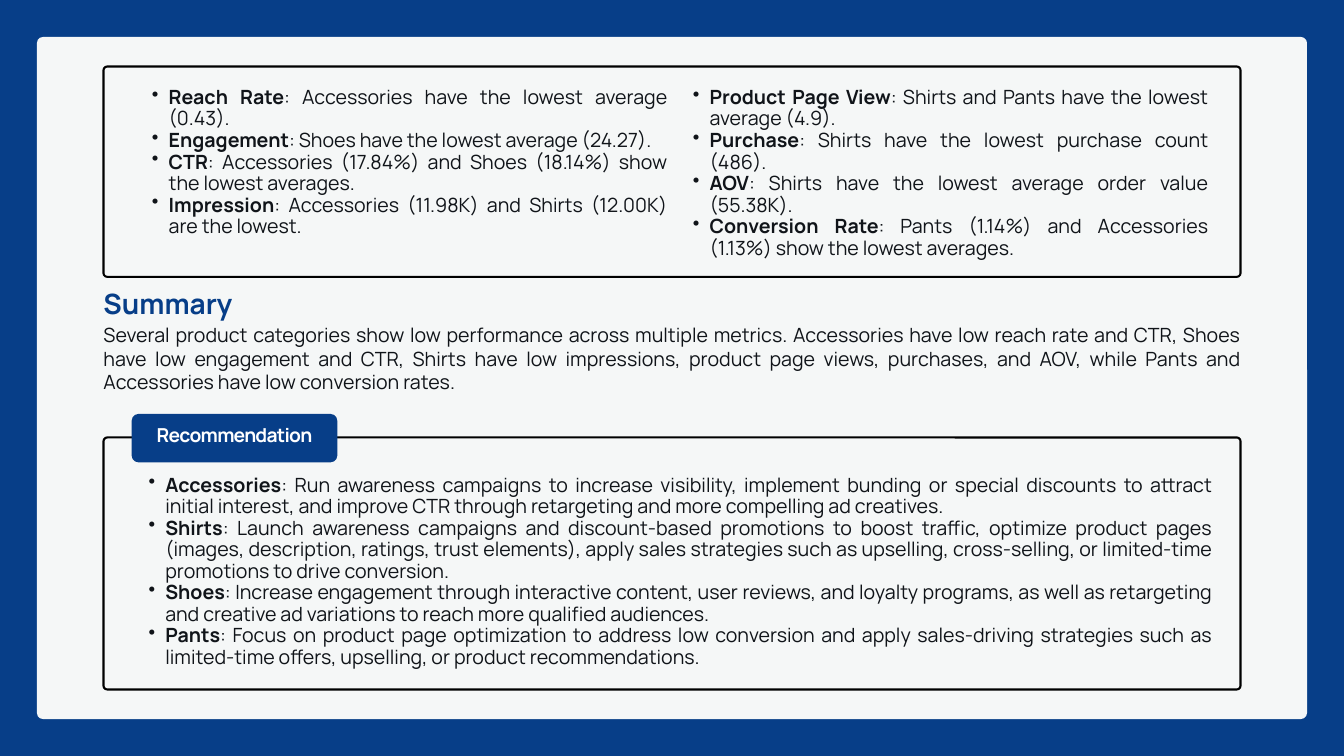
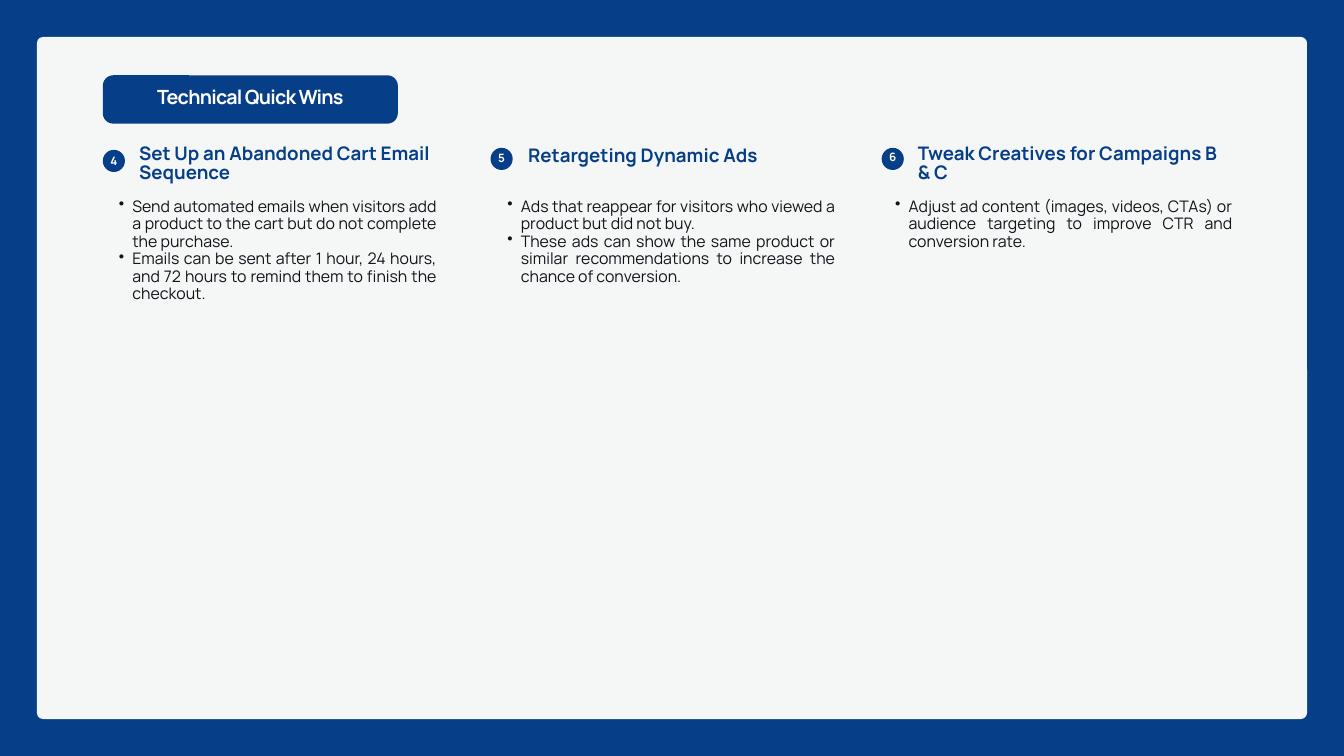
from dataclasses import dataclass

from lxml.etree import SubElement as Sub
from pptx import Presentation
from pptx.dml.color import RGBColor as Rgb
from pptx.enum.shapes import MSO_SHAPE as Kind
from pptx.enum.text import PP_ALIGN as Align
from pptx.oxml.ns import qn
from pptx.util import Emu, Inches, Pt

WIDE, HIGH = Inches(20), Inches(11.25)
COLS = 80
CELL = WIDE / COLS
FONT = "Manrope"
HUES = {"blue": "073E88", "pale": "F5F7F7", "ink": "101419",
        "white": "FFFFFF", "black": "000000"}


@dataclass(frozen=True)
class Box:
    x: float
    y: float
    w: float
    h: float

    def size(self) -> list[Emu]:
        return [grid(n) for n in (self.x, self.y, self.w, self.h)]


@dataclass(frozen=True)
class Tip:
    mark: str
    title: str
    items: tuple[str, ...]
    dot: tuple[float, float]
    drop: float
    head: Box
    body: Box


PANEL = Box(2.2, 2.2, 75.6, 40.6)
LEFT, SPAN = 6.16, 67.68

LOWS = (
    ("Reach Rate: Accessories have the lowest average (0.43).",
     "Engagement: Shoes have the lowest average (24.27).",
     "CTR: Accessories (17.84%) and Shoes (18.14%) show the lowest averages.",
     "Impression: Accessories (11.98K) and Shirts (12.00K) are the lowest."),
    ("Product Page View: Shirts and Pants have the lowest average (4.9).",
     "Purchase: Shirts have the lowest purchase count (486).",
     "AOV: Shirts have the lowest average order value (55.38K).",
     "Conversion Rate: Pants (1.14%) and Accessories (1.13%) show the lowest averages."),
)
SUMMARY = (
    "Several product categories show low performance across multiple metrics. "
    "Accessories have low reach rate and CTR, Shoes have low engagement and CTR, "
    "Shirts have low impressions, product page views, purchases, and AOV, "
    "while Pants and Accessories have low conversion rates."
)
ADVICE = (
    "Accessories: Run awareness campaigns to increase visibility, implement bunding or "
    "special discounts to attract initial interest, and improve CTR through retargeting "
    "and more compelling ad creatives.",
    "Shirts: Launch awareness campaigns and discount-based promotions to boost traffic, "
    "optimize product pages (images, description, ratings, trust elements), apply sales "
    "strategies such as upselling, cross-selling, or limited-time promotions to drive "
    "conversion.",
    "Shoes: Increase engagement through interactive content, user reviews, and loyalty "
    "programs, as well as retargeting and creative ad variations to reach more qualified "
    "audiences.",
    "Pants: Focus on product page optimization to address low conversion and apply "
    "sales-driving strategies such as limited-time offers, upselling, or product "
    "recommendations.",
)
TIPS = (
    Tip("4", "Set Up an Abandoned Cart Email Sequence",
        ("Send automated emails when visitors add a product to the cart but do not "
         "complete the purchase.",
         "Emails can be sent after 1 hour, 24 hours, and 72 hours to remind them to "
         "finish the checkout."),
        (6.12, 8.92), 0.4, Box(8.28, 8.68, 19.44, 2.36), Box(6.28, 11.8, 19.72, 6.12)),
    Tip("5", "Retargeting Dynamic Ads",
        ("Ads that reappear for visitors who viewed a product but did not buy.",
         "These ads can show the same product or similar recommendations to increase "
         "the chance of conversion."),
        (29.2, 8.8), 0.32, Box(31.44, 8.76, 19.44, 1.28), Box(29.4, 11.8, 20.32, 5.12)),
    Tip("6", "Tweak Creatives for Campaigns B & C",
        ("Adjust ad content (images, videos, CTAs) or audience targeting to improve "
         "CTR and conversion rate.",),
        (52.48, 8.8), 0.24, Box(54.64, 8.68, 18.72, 2.36), Box(52.48, 11.8, 20.88, 3.12)),
)


def grid(n: float) -> Emu:
    return Emu(round(n * CELL))


def hue(name: str) -> Rgb:
    return Rgb.from_string(HUES[name])


def form(slide, kind, box: Box, fill: str, curve: float = 0, edge: bool = False) -> None:
    shape = slide.shapes.add_shape(kind, *box.size())
    shape.shadow.inherit = False
    shape.fill.solid()
    shape.fill.fore_color.rgb = hue(fill)
    if curve:
        shape.adjustments[0] = curve / min(box.w, box.h)
    if edge:
        shape.line.color.rgb = hue("black")
        shape.line.width = Pt(2.25)
    else:
        shape.line.fill.background()


def text(slide, box: Box, *lines: str, size: float = 21, pitch: float = 23.1,
         color: str = "ink", bold: bool = False, align=Align.JUSTIFY,
         hang: float = 0, lead: bool = False, track: float = 0) -> None:
    frame = slide.shapes.add_textbox(*box.size()).text_frame
    frame.word_wrap = True
    frame.margin_left = frame.margin_right = frame.margin_top = frame.margin_bottom = 0
    for i, line in enumerate(lines):
        para = frame.add_paragraph() if i else frame.paragraphs[0]
        if hang:
            props = para._p.get_or_add_pPr()
            props.set("marL", str(grid(2 * hang)))
            props.set("indent", str(-grid(hang)))
            Sub(props, qn("a:buChar")).set("char", "•")
        para.alignment = align
        para.line_spacing = Pt(pitch)
        cut = line.index(":") if lead else 0
        for part, heavy in ((line[:cut], True), (line[cut:], bold)):
            if not part:
                continue
            run = para.add_run()
            run.text = part
            font = run.font
            font.name, font.size, font.bold = FONT, Pt(size), heavy
            font.color.rgb = hue(color)
            if track:
                run._r.get_or_add_rPr().set("spc", str(round(track * 100)))


def badge(slide, box: Box, label: str, curve: float, size: float) -> None:
    form(slide, Kind.ROUNDED_RECTANGLE, box, "blue", curve)
    text(slide, Box(box.x + 0.56, box.y + 0.7, box.w - 1.12, 1.36), label, size=size,
         pitch=size * 1.1, color="white", bold=True, align=Align.CENTER, track=-0.8)


def frame(slide, y: float, h: float) -> None:
    form(slide, Kind.ROUNDED_RECTANGLE, Box(LEFT, y, SPAN, h), "pale", 0.22, True)


def page(deck):
    slide = deck.slides.add_slide(deck.slide_layouts[6])
    back = slide.background.fill
    back.solid()
    back.fore_color.rgb = hue("blue")
    form(slide, Kind.ROUNDED_RECTANGLE, PANEL, "pale", 0.36)
    return slide


def review(deck) -> None:
    slide = page(deck)
    frame(slide, 3.96, 12.52)
    for i, items in enumerate(LOWS):
        text(slide, Box(8.04 + 32.2 * i, 5.16, 31.68, 10.12), *items, hang=1, lead=True)
    text(slide, Box(LEFT, 19.24, SPAN, 4.2), SUMMARY, pitch=25.2)
    text(slide, Box(LEFT, 17.36, 30.24, 1.8), "Summary", size=30, pitch=30,
         color="blue", bold=True, align=Align.LEFT)
    frame(slide, 26.04, 15)
    badge(slide, Box(7.84, 24.64, 12.24, 2.88), "Recommendation", 0.4, 20.6)
    text(slide, Box(7.84, 28.24, 64.32, 11.36), *ADVICE, hang=1, lead=True)


def wins(deck) -> None:
    slide = page(deck)
    badge(slide, Box(6.12, 4.48, 17.56, 2.88), "Technical Quick Wins", 0.62, 21)
    for tip in TIPS:
        x, y = tip.dot
        text(slide, tip.body, *tip.items, size=17, pitch=18.7, hang=0.8)
        text(slide, tip.head, tip.title, size=20, pitch=20, color="blue",
             bold=True, align=Align.LEFT)
        form(slide, Kind.OVAL, Box(x, y, 1.32, 1.32), "blue")
        text(slide, Box(x + 0.14, y + tip.drop, 1.04, 0.76), tip.mark, size=12.4,
             pitch=12.4, color="white", bold=True, align=Align.CENTER)


def main() -> None:
    deck = Presentation()
    deck.slide_width, deck.slide_height = WIDE, HIGH
    review(deck)
    wins(deck)
    deck.save("out.pptx")


if __name__ == "__main__":
    main()
